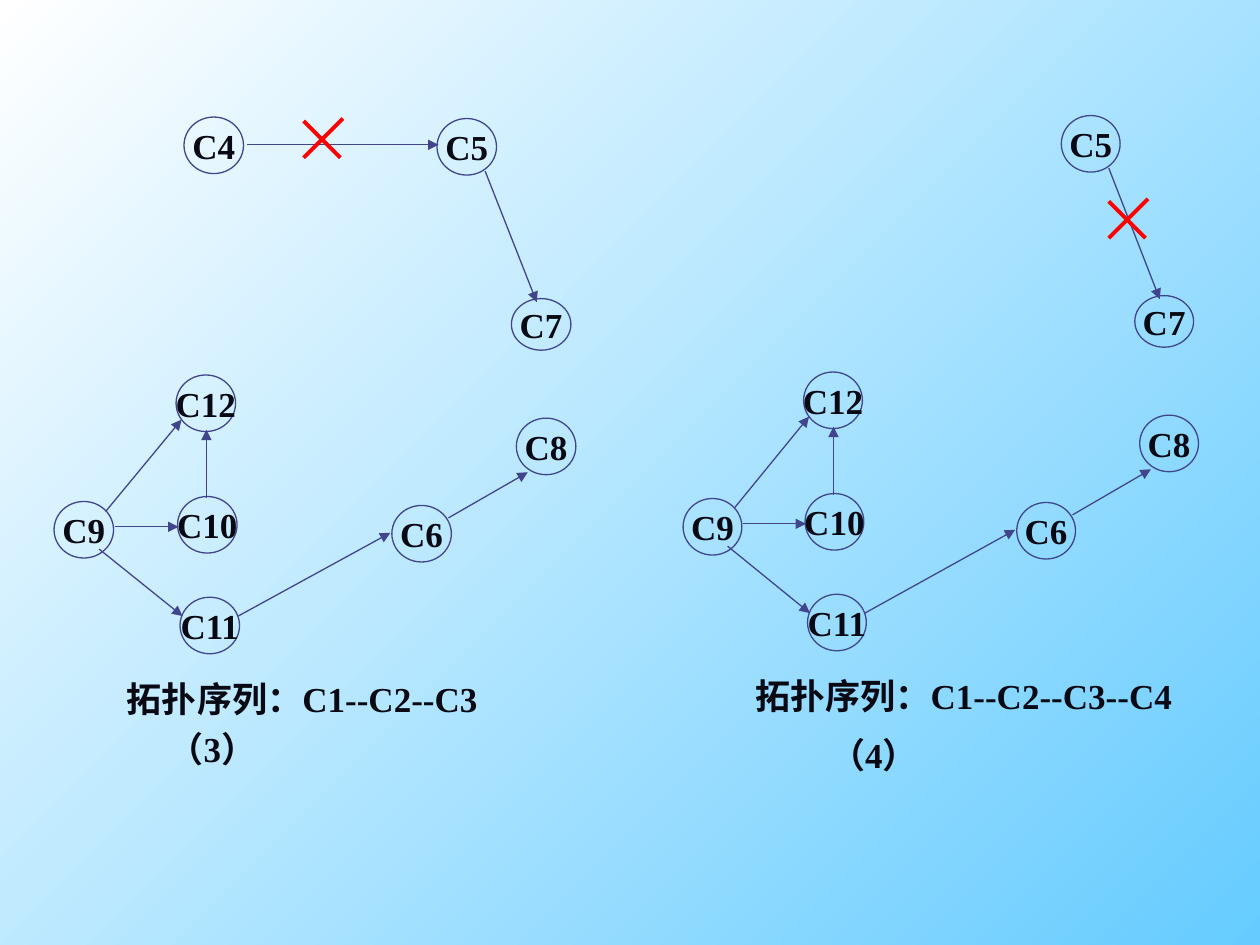
import pptx
import pptx.util
import pptx.dml.color
import pptx.enum.shapes
import pptx.enum.text
from lxml import etree
from pptx.oxml.ns import qn

Cm = pptx.util.Cm
COLORS = {"line": "40458C", "text": "080912", "cross": "FF0000",
          "bg_start": "66CCFF", "bg_end": "FFFFFF"}
FONT = "Times New Roman"
GRAPH_W = 10.52
NODE_W, NODE_H = 1.2, 1.14

NODES = {
    "C4": (2.62, 0), "C5": (7.72, 0.03), "C6": (6.81, 7.83),
    "C7": (9.22, 3.66), "C8": (9.32, 6.07), "C9": (0, 7.75),
    "C10": (2.49, 7.65), "C11": (2.54, 9.68), "C12": (2.46, 5.2),
}
NODE_HEIGHTS = {"C7": 1.04}
EDGES = {
    ("C4", "C5"): (3.89, 0.56, 7.75, 0.56),
    ("C5", "C7"): (8.69, 1.09, 9.73, 3.73),
    ("C9", "C12"): (1.04, 7.95, 2.57, 6.1),
    ("C9", "C10"): (1.22, 8.26, 2.51, 8.26),
    ("C10", "C12"): (3.07, 7.67, 3.07, 6.3),
    ("C9", "C11"): (0.91, 8.71, 2.59, 10.06),
    ("C11", "C6"): (3.71, 10.06, 6.78, 8.38),
    ("C6", "C8"): (7.95, 8.08, 9.55, 7.16),
}


def rgb(name):
    return pptx.dml.color.RGBColor.from_string(COLORS[name])


def write(sp, text, align):
    tf = sp.text_frame
    tf.word_wrap = False
    tf.text = text
    p = tf.paragraphs[0]
    p.alignment = align
    font = p.runs[0].font
    font.name, font.size, font.bold = FONT, pptx.util.Pt(20), True
    font.color.rgb = rgb("text")


def add_line(shapes, x1, y1, x2, y2, color, width, arrow=False):
    cx = shapes.add_connector(pptx.enum.shapes.MSO_CONNECTOR.STRAIGHT,
                              Cm(x1), Cm(y1), Cm(x2), Cm(y2))
    cx.line.color.rgb = rgb(color)
    cx.line.width = pptx.util.Pt(width)
    if arrow:
        etree.SubElement(cx.line._get_or_add_ln(), qn("a:tailEnd"), type="triangle")
    etree.SubElement(cx._element.spPr, qn("a:effectLst"))


def add_node(shapes, text, x, y, w, h):
    sp = shapes.add_shape(pptx.enum.shapes.MSO_SHAPE.OVAL, Cm(x), Cm(y), Cm(w), Cm(h))
    sp.shadow.inherit = False
    sp.fill.background()
    sp.line.color.rgb = rgb("line")
    sp.line.width = pptx.util.Pt(0.75)
    sp.text_frame.vertical_anchor = pptx.enum.text.MSO_ANCHOR.MIDDLE
    write(sp, text, pptx.enum.text.PP_ALIGN.CENTER)


def add_label(shapes, text, x, y, w):
    sp = shapes.add_textbox(Cm(x), Cm(y), Cm(w), Cm(1.11))
    write(sp, text, pptx.enum.text.PP_ALIGN.LEFT)


def add_cross(s, x, y):
    shapes = s.shapes.add_group_shape().shapes
    add_line(shapes, x, y + 0.05, x + 0.74, y + 0.79, "cross", 2.25)
    add_line(shapes, x + 0.79, y, x, y + 0.79, "cross", 2.25)


def add_graph(s, left, top, width, removed, sequence, sequence_w, number, number_at, cross_at):
    k = width / GRAPH_W
    shapes = s.shapes.add_group_shape().shapes
    for name, (x, y) in NODES.items():
        if name not in removed:
            add_node(shapes, name, left + k * x, top + y,
                     k * NODE_W, NODE_HEIGHTS.get(name, NODE_H))
    for (start, _), (x1, y1, x2, y2) in EDGES.items():
        if start not in removed:
            add_line(shapes, left + k * x1, top + y1, left + k * x2, top + y2,
                     "line", 0.75, arrow=True)
    add_label(shapes, "拓扑序列：" + sequence, left + k * 1.22, top + 11.18, sequence_w)
    add_label(shapes, number, left + k * number_at[0], top + number_at[1], 2.62)
    add_cross(s, left + k * cross_at[0], top + cross_at[1])


def set_background(s):
    fill = s.background.fill
    fill.gradient()
    fill.gradient_angle = 135
    for stop, name in zip(fill.gradient_stops, ("bg_start", "bg_end")):
        stop.color.rgb = rgb(name)


def main():
    prs = pptx.Presentation()
    prs.slide_width, prs.slide_height = Cm(25.4), Cm(19.05)
    s = prs.slides.add_slide(prs.slide_layouts[6])
    set_background(s)
    add_graph(s, 1.09, 2.36, 10.52, (), "C1--C2--C3", 7.75,
              "（3）", (2.06, 12.19), (5.03, 0.03))
    add_graph(s, 13.77, 2.3, 10.39, ("C4",), "C1--C2--C3--C4", 9.07,
              "（4）", (2.75, 12.36), (8.69, 1.71))
    prs.save("out.pptx")


if __name__ == "__main__":
    main()
